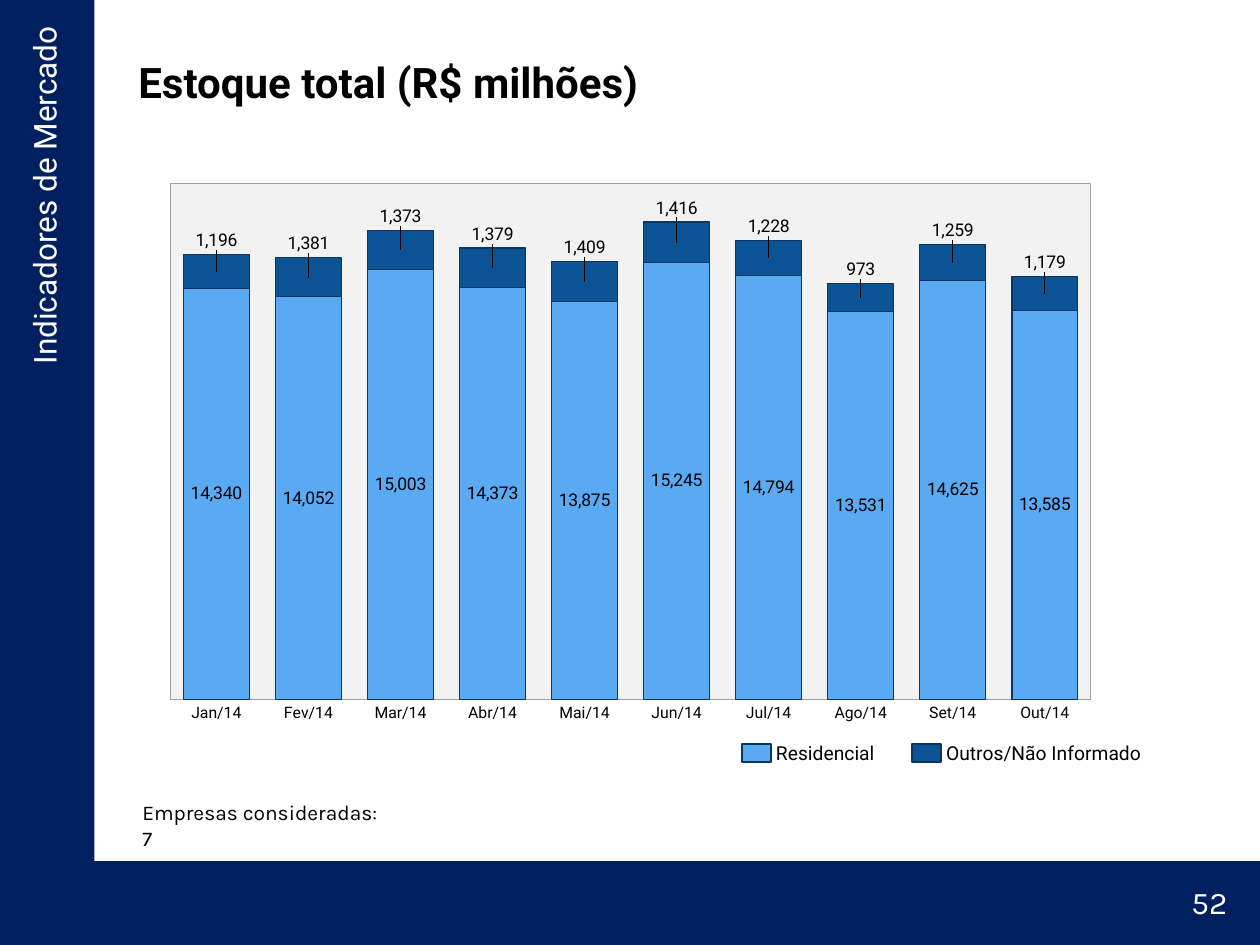
import lxml.etree
import pptx
import pptx.chart.data
import pptx.dml.color
import pptx.enum.chart
import pptx.enum.shapes
import pptx.enum.text
import pptx.oxml
import pptx.oxml.ns
import pptx.util

Pt = pptx.util.Pt
ALIGN = pptx.enum.text.PP_ALIGN
ANCHOR = pptx.enum.text.MSO_ANCHOR

NAVY, LIGHT_BLUE, DARK_BLUE, OUTLINE = "002060", "59AAF2", "0B5394", "083763"
NUMBER_FORMAT = '_-* #,##0_-;\\-* #,##0_-;_-* "-"??_-;_-@_'
AXIS_MAXIMUM = 18000
PLOT_LAYOUT = {"x": 0.02, "y": 0.02, "w": 0.96, "h": 0.92}
LABEL_GAP = 0.025
MONTHS = ["Jan", "Fev", "Mar", "Abr", "Mai", "Jun", "Jul", "Ago", "Set", "Out"]
SERIES = [
    ("Residencial", LIGHT_BLUE,
     [14340, 14052, 15003, 14373, 13875, 15245, 14794, 13531, 14625, 13585]),
    ("Outros/Não Informado", DARK_BLUE,
     [1196, 1381, 1373, 1379, 1409, 1416, 1228, 973, 1259, 1179]),
]


def color(value):
    return pptx.dml.color.RGBColor.from_string(value)


def chart_element(tag, **attributes):
    element = pptx.oxml.parse_xml(
        f'<c:{tag} xmlns:c="http://schemas.openxmlformats.org/drawingml/2006/chart"/>')
    for name, value in attributes.items():
        element.set(name, str(value))
    return element


def manual_layout(values):
    layout = chart_element("layout")
    manual = chart_element("manualLayout")
    layout.append(manual)
    for name, value in values:
        manual.append(chart_element(name, val=value))
    return layout


def style_font(font, name, size, value="000000", bold=False):
    font.name = name
    font.size = Pt(size)
    font.bold = bold
    font.color.rgb = color(value)


def add_text(slide, box, text, name, size, value="000000", bold=False,
             align=ALIGN.LEFT, anchor=ANCHOR.TOP):
    shape = slide.shapes.add_textbox(*map(Pt, box))
    frame = shape.text_frame
    frame.word_wrap = True
    frame.vertical_anchor = anchor
    paragraph = frame.paragraphs[0]
    paragraph.alignment = align
    run = paragraph.add_run()
    run.text = text
    style_font(run.font, name, size, value, bold)
    return shape


def add_rectangle(slide, box, fill, line=None):
    shape = slide.shapes.add_shape(
        pptx.enum.shapes.MSO_SHAPE.RECTANGLE, *map(Pt, box))
    shape.shadow.inherit = False
    shape.fill.solid()
    shape.fill.fore_color.rgb = color(fill)
    if line:
        shape.line.color.rgb = color(line)
        shape.line.width = Pt(1)
    else:
        shape.line.fill.background()


def add_frame(slide, box):
    left, top, width, height = box
    side_width, footer_height = 54, 48
    side_height = height - footer_height
    add_rectangle(slide, (left, top + side_height, width, footer_height), NAVY)
    add_rectangle(slide, (left, top, side_width, side_height), NAVY)
    label_width, label_height = 417.6, 28.8
    label = add_text(
        slide, (left + 25.2 - label_width / 2, top + 202.3, label_width, label_height),
        "Indicadores de Mercado", "Roboto", 18, "FFFFFF", align=ALIGN.RIGHT)
    label.rotation = 270
    add_text(slide, (left + width - 77.8, top + side_height + 9.1, 66.2, 28.8),
             "52", "Karla", 18, "FFFFFF", align=ALIGN.RIGHT)


def style_plot_area(chart):
    area = chart._chartSpace.chart.plotArea
    for layout in area.findall(pptx.oxml.ns.qn("c:layout")):
        area.remove(layout)
    area.insert(0, manual_layout(
        [("layoutTarget", "inner"), ("xMode", "edge"), ("yMode", "edge"),
         *PLOT_LAYOUT.items()]))
    area.append(pptx.oxml.parse_xml(
        '<c:spPr xmlns:c="http://schemas.openxmlformats.org/drawingml/2006/chart" '
        'xmlns:a="http://schemas.openxmlformats.org/drawingml/2006/main">'
        '<a:solidFill><a:srgbClr val="F2F2F2"/></a:solidFill>'
        '<a:ln w="6350"><a:solidFill><a:srgbClr val="A0A0A0"/></a:solidFill></a:ln>'
        '</c:spPr>'))


def raise_labels(series):
    for index, value in enumerate(series.values):
        label = series.points[index].data_label
        label.position = pptx.enum.chart.XL_LABEL_POSITION.CENTER
        style_font(label.font, "Roboto", 10)
    for element, value in zip(
            series._element.iter(pptx.oxml.ns.qn("c:dLbl")), series.values):
        rise = value / 2 / AXIS_MAXIMUM * PLOT_LAYOUT["h"] + LABEL_GAP
        element.insert(1, manual_layout([("x", 0), ("y", round(-rise, 4))]))
        element.insert(2, chart_element(
            "numFmt", formatCode=NUMBER_FORMAT, sourceLinked=0))


def add_stock_chart(slide, box):
    data = pptx.chart.data.CategoryChartData(number_format=NUMBER_FORMAT)
    data.categories = [f"{month}/14" for month in MONTHS]
    for name, fill, values in SERIES:
        data.add_series(name, values)
    chart = slide.shapes.add_chart(
        pptx.enum.chart.XL_CHART_TYPE.COLUMN_STACKED, *map(Pt, box), data).chart
    style_font(chart.font, "Karla", 10)
    chart.has_legend = False
    chart.has_title = False
    chart.value_axis.minimum_scale = 0
    chart.value_axis.maximum_scale = AXIS_MAXIMUM
    chart.value_axis.has_major_gridlines = False
    chart.value_axis.visible = False
    axis = chart.category_axis
    axis.major_tick_mark = pptx.enum.chart.XL_TICK_MARK.NONE
    axis.format.line.color.rgb = color("A0A0A0")
    style_font(axis.tick_labels.font, "Roboto", 9)
    plot = chart.plots[0]
    plot.gap_width = 40
    plot.overlap = 100
    plot.vary_by_categories = False
    for series, (name, fill, values) in zip(plot.series, SERIES):
        series.format.fill.solid()
        series.format.fill.fore_color.rgb = color(fill)
        series.format.line.color.rgb = color(OUTLINE)
        series.format.line.width = Pt(0.75)
        labels = series.data_labels
        labels.show_value = True
        labels.number_format = NUMBER_FORMAT
        labels.number_format_is_linked = False
        style_font(labels.font, "Roboto", 10)
    raise_labels(plot.series[1])
    style_plot_area(chart)


def add_legend(slide, box):
    left, top, width, height = box
    pitch = 97.2
    for index, (name, fill, values) in enumerate(SERIES):
        item_left = left + index * pitch
        add_text(slide, (item_left + 12.2, top, width - pitch - 12.2, height),
                 name, "Roboto", 11)
        add_rectangle(slide, (item_left, top + 5.4, 16.6, 10.1), fill, OUTLINE)


def main():
    presentation = pptx.Presentation()
    presentation.slide_width = Pt(720)
    presentation.slide_height = Pt(540)
    slide = presentation.slides.add_slide(presentation.slide_layouts[6])
    add_frame(slide, (0, 0, 720, 540))
    add_text(slide, (72, 21.6, 612, 50.4), "Estoque total (R$ milhões)",
             "Roboto", 24, bold=True, anchor=ANCHOR.MIDDLE)
    add_text(slide, (74.2, 453.6, 152.6, 21.6), "Empresas consideradas: 7", "Karla", 12)
    add_legend(slide, (424.1, 419.8, 259.9, 20.9))
    add_stock_chart(slide, (86.4, 98.6, 547.9, 320.4))
    presentation.save("out.pptx")


if __name__ == "__main__":
    main()
